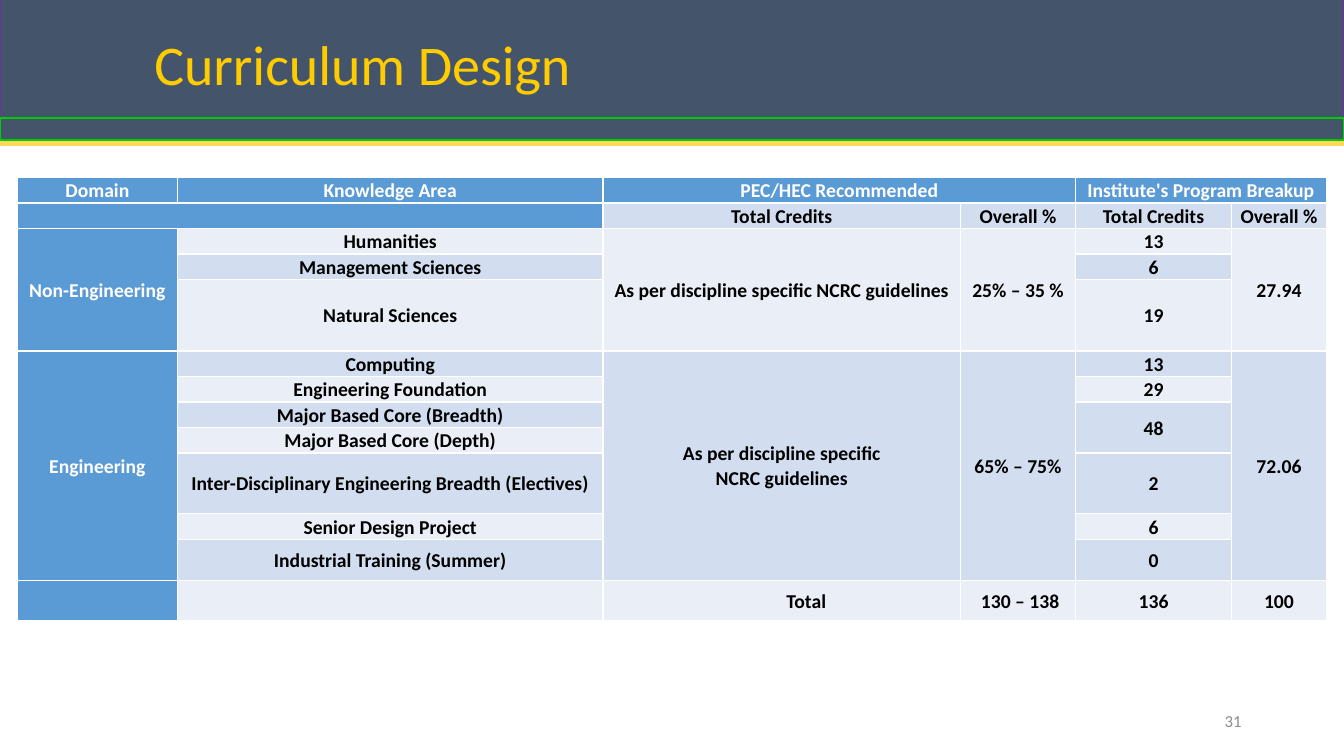
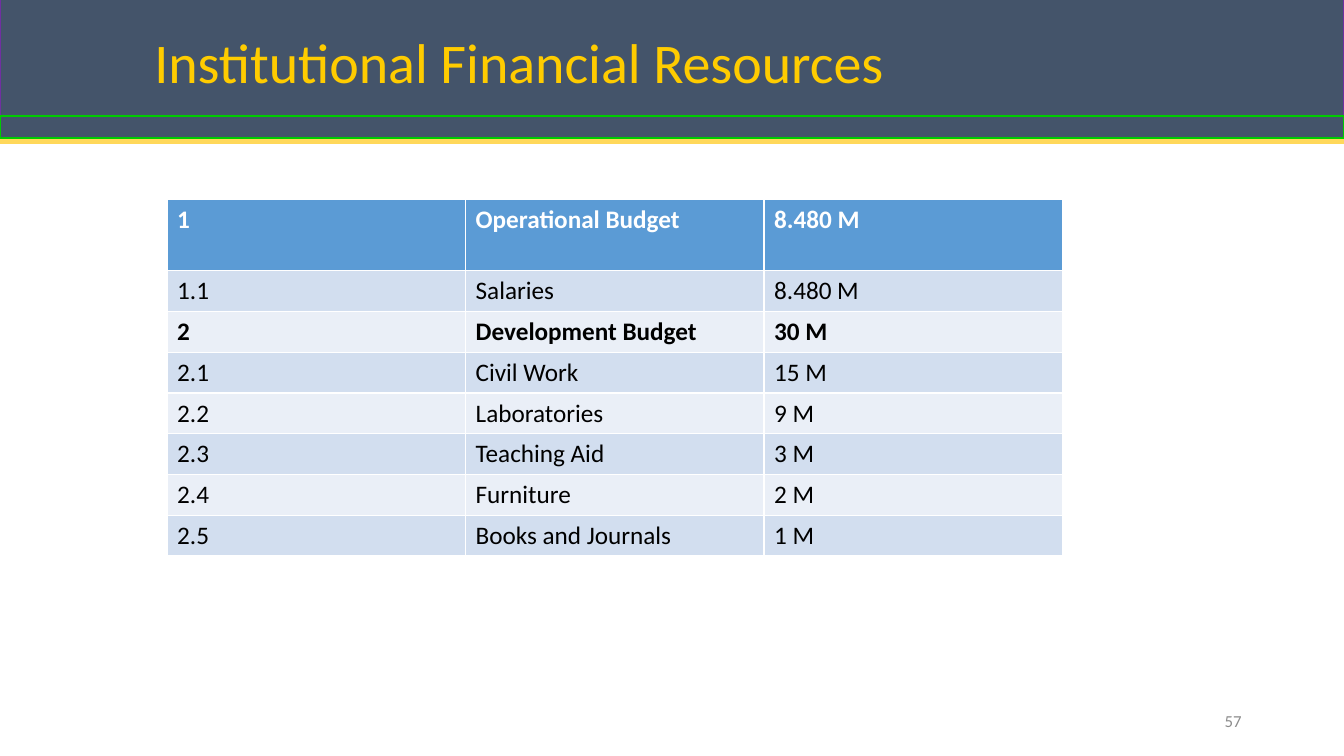
from lxml.etree import SubElement
from pptx import Presentation
from pptx.dml.color import RGBColor
from pptx.enum.shapes import MSO_CONNECTOR, MSO_SHAPE
from pptx.enum.text import MSO_ANCHOR, MSO_AUTO_SIZE, PP_ALIGN
from pptx.oxml.ns import qn
from pptx.util import Pt

WIDTH, HEIGHT = 960, 540
FONT = "Calibri"
SLATE, PURPLE, GREEN = "44546A", "7030A0", "00CC00"
RULE, TITLE, GREY = "FFD85B", "FFCC00", "8C8C8C"
WHITE, BLACK, BLUE = "FFFFFF", "000000", "5B9BD5"
BANDS = ("EAEFF7", "D2DEEF")

CURRICULUM = [
    ["Domain", "Knowledge Area", "PEC/HEC Recommended", "", "Institute's Program Breakup", ""],
    ["", "", "Total Credits", "Overall %", "Total Credits", "Overall %"],
    ["Non-Engineering", "Humanities", "As per discipline specific NCRC guidelines",
     "25% – 35 %", "13", "27.94"],
    ["", "Management Sciences", "", "", "6", ""],
    ["", "Natural Sciences", "", "", "19", ""],
    ["Engineering", "Computing", "As per discipline specific\nNCRC guidelines",
     "65% – 75%", "13", "72.06"],
    ["", "Engineering Foundation", "", "", "29", ""],
    ["", "Major Based Core (Breadth)", "", "", "48", ""],
    ["", "Major Based Core (Depth)", "", "", "", ""],
    ["", "Inter-Disciplinary Engineering Breadth (Electives)", "", "", "2", ""],
    ["", "Senior Design Project", "", "", "6", ""],
    ["", "Industrial Training (Summer)", "", "", "0", ""],
    ["", "", "Total", "130 – 138", "136", "100"],
]
BUDGET = [
    ["1", "Operational Budget", "8.480 M"],
    ["1.1", "Salaries", "8.480 M"],
    ["2", "Development Budget", "30 M"],
    ["2.1", "Civil Work", "15 M"],
    ["2.2", "Laboratories", "9 M"],
    ["2.3", "Teaching Aid", "3 M"],
    ["2.4", "Furniture", "2 M"],
    ["2.5", "Books and Journals", "1 M"],
]


def rgb(value):
    return RGBColor.from_string(value)


def assign(obj, values):
    for name, value in values.items():
        setattr(obj, name, value)


class Deck:
    def __init__(self):
        self.prs = Presentation()
        assign(self.prs, {"slide_width": Pt(WIDTH), "slide_height": Pt(HEIGHT)})
        self.s = None

    def slide(self, title, number, title_width, shift=0):
        """Start a slide; shift moves the whole header vertically."""
        self.s = self.prs.slides.add_slide(self.prs.slide_layouts[5])
        self.rule(102.2 + shift)
        self.band(-0.7 + shift, 86.4, PURPLE)
        self.band(84.2 + shift, 15.8, GREEN)
        self.title(title, 10.1 + shift, title_width)
        self.number(number)

    def rule(self, y):
        sp = self.s.shapes.add_connector(MSO_CONNECTOR.STRAIGHT, 0, Pt(y), Pt(WIDTH), Pt(y))
        sp.line.color.rgb = rgb(RULE)
        sp.line.width = Pt(3.75)
        SubElement(sp._element.spPr, qn("a:effectLst"))

    def band(self, y, height, outline):
        sp = self.s.shapes.add_shape(MSO_SHAPE.RECTANGLE, 0, Pt(y), Pt(WIDTH), Pt(height))
        sp.shadow.inherit = False
        sp.fill.solid()
        sp.fill.fore_color.rgb = rgb(SLATE)
        sp.line.color.rgb = rgb(outline)
        sp.line.width = Pt(1)

    def text(self, p, text, size, color, bold=False):
        r = p.add_run()
        r.text = text
        assign(r.font, {"name": FONT, "size": Pt(size), "bold": bold})
        r.font.color.rgb = rgb(color)

    def title(self, text, y, width):
        sp = self.s.shapes.title
        self.s.shapes._spTree.append(sp._element)  # in front of the bands
        assign(sp, {"left": Pt(103), "top": Pt(y), "width": Pt(width), "height": Pt(76.3)})
        tf = sp.text_frame
        assign(tf, {"word_wrap": True, "auto_size": MSO_AUTO_SIZE.NONE,
                    "vertical_anchor": MSO_ANCHOR.MIDDLE})
        p = tf.paragraphs[0]
        assign(p, {"alignment": PP_ALIGN.LEFT, "line_spacing": 0.9})
        self.text(p, text, 40, TITLE)

    def number(self, number):
        tf = self.s.shapes.add_textbox(Pt(678), Pt(500.5), Pt(216), Pt(28.8)).text_frame
        assign(tf, {"word_wrap": True, "vertical_anchor": MSO_ANCHOR.MIDDLE})
        p = tf.paragraphs[0]
        p.alignment = PP_ALIGN.RIGHT
        self.text(p, str(number), 12, GREY)

    def table(self, rows, x, y, widths, heights, size, bold_rows, cell_format,
              para_format, blue_column=False, merges=(), indents=None):
        """Draw a banded table; merges are (row, column, last row, last column)."""
        table = self.s.shapes.add_table(len(rows), len(widths), Pt(x), Pt(y),
                                        Pt(sum(widths)), Pt(sum(heights))).table
        for column, width in zip(table.columns, widths):
            column.width = Pt(width)
        for row, height in zip(table.rows, heights):
            row.height = Pt(height)
        for i, row in enumerate(rows):
            for j, text in enumerate(row):
                cell = table.cell(i, j)
                head = i == 0 or (blue_column and j == 0)
                assign(cell, cell_format)
                if indents and (i, j) in indents:
                    cell.margin_left = Pt(indents[i, j])
                cell.fill.solid()
                cell.fill.fore_color.rgb = rgb(BLUE if head else BANDS[i % 2])
                self.cell_text(cell.text_frame, text, size, WHITE if head else BLACK,
                               i in bold_rows, para_format)
        for top, left, bottom, right in merges:
            table.cell(top, left).merge(table.cell(bottom, right))

    def cell_text(self, tf, text, size, color, bold, para_format):
        for n, line in enumerate(text.split("\n")):
            p = tf.add_paragraph() if n else tf.paragraphs[0]
            assign(p, para_format)
            if line:
                self.text(p, line, size, color, bold)
            else:  # keeps an empty cell from stretching its row
                SubElement(p._p, qn("a:endParaRPr"), sz=str(size * 100))


def main():
    deck = Deck()

    deck.slide("Curriculum Design", 31, 772.6)
    heights = [18.2] * len(CURRICULUM)
    heights[4], heights[9], heights[11], heights[12] = 51.2, 43.4, 29.2, 29.2
    deck.table(
        CURRICULUM, 12.4, 126.8, [114.4, 304, 255.4, 82.2, 111.4, 67.8], heights, 14,
        range(len(CURRICULUM)),
        {"margin_left": Pt(5), "margin_right": Pt(5), "margin_top": 0,
         "margin_bottom": 0, "vertical_anchor": MSO_ANCHOR.MIDDLE},
        {"alignment": PP_ALIGN.CENTER, "line_spacing": 1.07},
        blue_column=True,
        merges=[(0, 2, 0, 3), (0, 4, 0, 5), (1, 0, 1, 1), (7, 4, 8, 4)]
        + [(top, c, bottom, c) for top, bottom in ((2, 4), (5, 11)) for c in (0, 2, 3, 5)],
        indents={(12, 2): 40, (12, 3): 8})

    deck.slide("Institutional Financial Resources", 57, 826, shift=-1.4)
    deck.table(BUDGET, 119.4, 142.6, [213.2] * 3, [50.9] + [29.1] * 7, 18, (0, 2),
               {"vertical_anchor": MSO_ANCHOR.TOP}, {"alignment": PP_ALIGN.LEFT})

    deck.prs.save("out.pptx")


if __name__ == "__main__":
    main()
